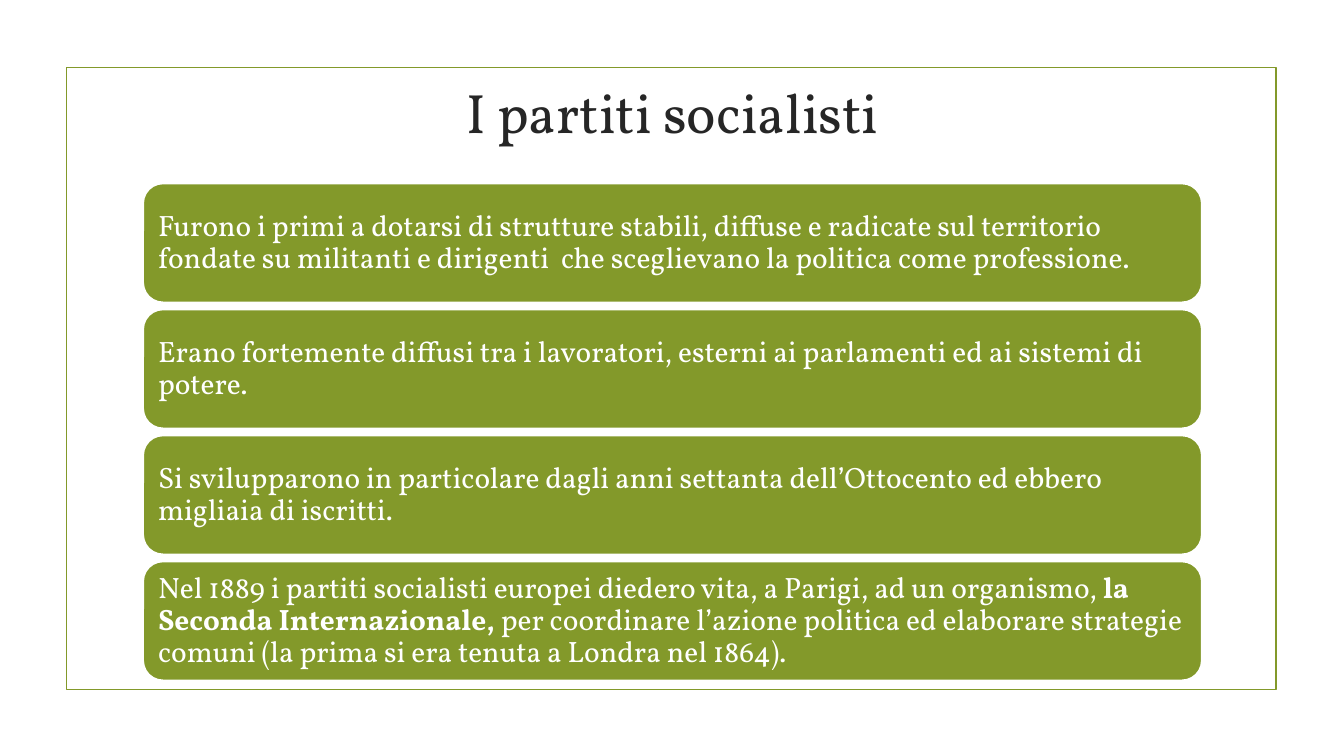
"""Build the slide on the socialist parties: a framed title and four stacked cards."""
from pptx import Presentation
from pptx.dml.color import RGBColor
from pptx.enum.shapes import MSO_SHAPE as Shape
from pptx.enum.text import MSO_ANCHOR as Anchor, MSO_AUTO_SIZE as Fit, PP_ALIGN as Align
from pptx.util import Inches, Pt

TITLE = "I partiti socialisti"
CARDS = [
    [("Furono i primi a dotarsi di strutture stabili, diffuse e radicate sul territorio "
      "fondate su militanti e dirigenti  che sceglievano la politica come professione.", False)],
    [("Erano fortemente diffusi tra i lavoratori, esterni ai parlamenti ed ai sistemi di "
      "potere.", False)],
    [("Si svilupparono in particolare dagli anni settanta dell’Ottocento ed ebbero "
      "migliaia di iscritti.", False)],
    [("Nel 1889 i partiti socialisti europei diedero vita, a Parigi, ad un organismo, ", False),
     ("la Seconda Internazionale,", True),
     (" per coordinare l’azione politica ed elaborare strategie comuni "
      "(la prima si era tenuta a Londra nel 1864).", False)],
]
COLORS = {"green": "83992A", "white": "FFFFFF", "dark": "262626"}
FONT = "Vollkorn"
LEFT, WIDTH = 1.42, 10.5
TOP, HIGH, STEP = 1.82, 1.18, 1.25
INSET = 0.09


def color(name):
    return RGBColor.from_string(COLORS[name])


def style(font, size, name):
    font.name, font.size = FONT, Pt(size)
    font.color.rgb = color(name)


def add_box(kind, place, line, fill=None):
    box = slide.shapes.add_shape(kind, *map(Inches, place))
    box.shadow.inherit = False
    box.line.color.rgb = color(line)
    box.line.width = Pt(1.25)
    if fill:
        box.fill.solid()
        box.fill.fore_color.rgb = color(fill)
    else:
        box.fill.background()
    return box


def add_card(top, runs):
    card = add_box(Shape.ROUNDED_RECTANGLE, (LEFT, top, WIDTH, HIGH), "white", "green")
    frame = card.text_frame
    frame.word_wrap = True
    frame.vertical_anchor = Anchor.MIDDLE
    frame.margin_left = frame.margin_right = Inches(INSET)
    frame.margin_top = frame.margin_bottom = Inches(INSET)
    para = frame.paragraphs[0]
    para.alignment, para.line_spacing = Align.LEFT, 0.9
    style(para.font, 21, "white")
    for text, bold in runs:
        run = para.add_run()
        run.text, run.font.bold = text, bold


deck = Presentation()
deck.slide_width, deck.slide_height = Inches(13.33), Inches(7.5)
slide = deck.slides.add_slide(deck.slide_layouts[5])

add_box(Shape.RECTANGLE, (0.66, 0.67, 12, 6.17), "green")

title = slide.shapes.title
title.left, title.top, title.width, title.height = map(Inches, (LEFT, 0.74, WIDTH, 0.81))
title.text_frame.text = TITLE
title.text_frame.auto_size = Fit.NONE
title.text_frame.vertical_anchor = Anchor.MIDDLE
head = title.text_frame.paragraphs[0]
head.alignment, head.line_spacing = Align.CENTER, 0.9
style(head.font, 39.6, "dark")

for row, runs in enumerate(CARDS):
    add_card(TOP + row * STEP, runs)

deck.save("out.pptx")
